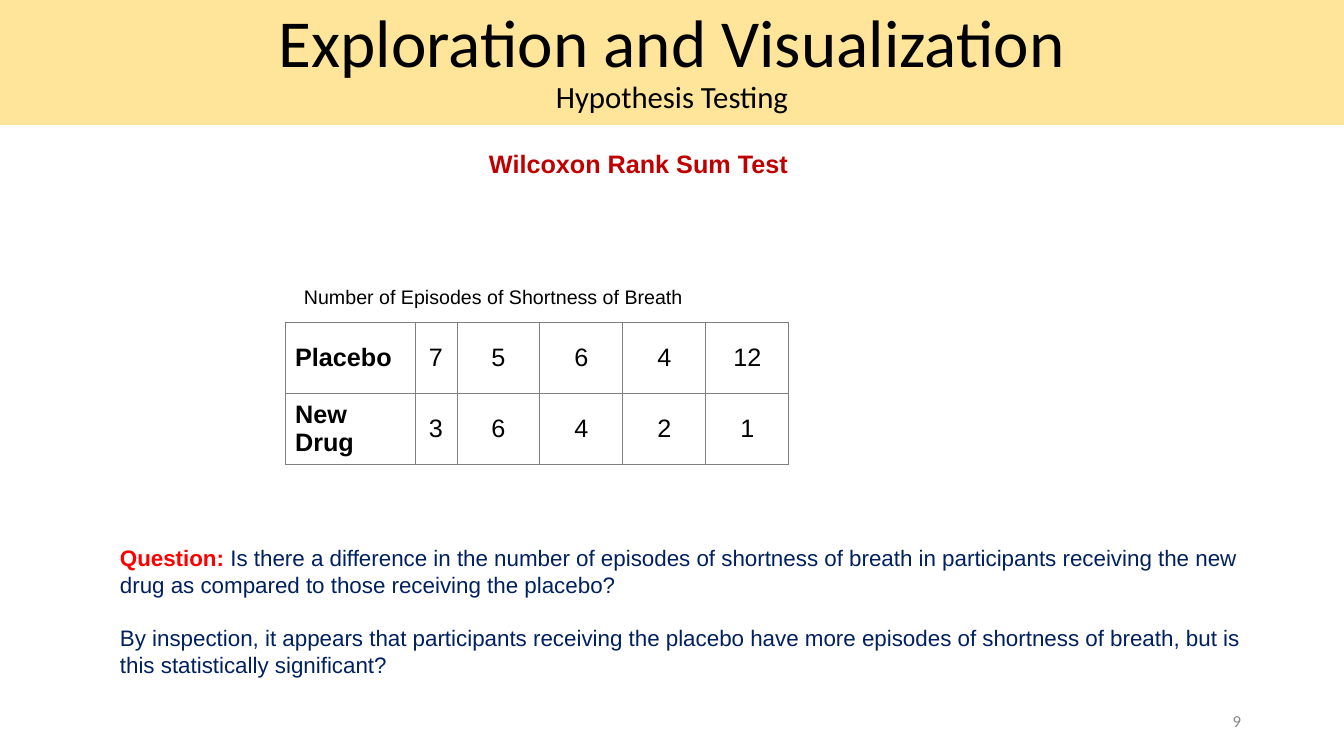
from lxml.etree import SubElement as Sub
from pptx import Presentation
from pptx.dml.color import RGBColor as Rgb
from pptx.enum.text import MSO_ANCHOR as Anchor, MSO_AUTO_SIZE as Fit, PP_ALIGN as Align
from pptx.oxml.ns import qn
from pptx.util import Pt

PX = 914400 / 100.8
COLORS = {
    "band": "FEE599", "black": "000000", "white": "FFFFFF", "crimson": "C00000",
    "red": "FF0000", "navy": "002060", "gray": "888888", "border": "808080",
}
ROWS = [
    ["Placebo", 7, 5, 6, 4, 12],
    ["New Drug", 3, 6, 4, 2, 1],
]
WIDTHS = [130, 42] + [83] * 4
ROW_H = 71


def px(*vals):
    return [round(v * PX) for v in vals]


def color(name):
    return Rgb.from_string(COLORS[name])


def paint(item, name):
    item.fill.solid()
    item.fill.fore_color.rgb = color(name)


def add_run(par, text, size=18, font="Arial", ink="black", bold=False):
    run = par.add_run()
    run.text = text
    run.font.size = Pt(size)
    run.font.name = font
    run.font.bold = bold
    run.font.color.rgb = color(ink)


def write(frame, text, new=False, align=Align.LEFT, line=None, before=0, **font):
    """Write one paragraph, in the first one of the frame or in a new one."""
    par = frame.add_paragraph() if new else frame.paragraphs[0]
    par.alignment = align
    par.space_before = Pt(before)
    if line:
        par.line_spacing = line
    add_run(par, text, **font)
    return par


def add_box(slide, *box, anchor=Anchor.TOP):
    frame = slide.shapes.add_textbox(*px(*box)).text_frame
    frame.word_wrap = True
    frame.vertical_anchor = anchor
    return frame


def add_title(slide):
    title = slide.shapes.title
    title.left, title.top, title.width, title.height = px(0, -1, 1344, 126)
    paint(title, "band")
    frame = title.text_frame
    frame.auto_size = Fit.NONE
    frame.vertical_anchor = Anchor.MIDDLE
    look = dict(align=Align.CENTER, line=0.9, font="Calibri")
    write(frame, "Exploration and Visualization", size=48, **look)
    write(frame, "Hypothesis Testing", new=True, size=22, **look)


def add_edges(cell):
    props = cell._tc.get_or_add_tcPr()
    for side in ("lnL", "lnR", "lnT", "lnB"):
        edge = Sub(props, qn(f"a:{side}"), w=str(Pt(0.75)))
        Sub(Sub(edge, qn("a:solidFill")), qn("a:srgbClr"), val=COLORS["border"])


def add_grid(slide):
    box = px(285, 322, sum(WIDTHS), ROW_H * len(ROWS))
    grid = slide.shapes.add_table(len(ROWS), len(WIDTHS), *box).table
    grid.first_row = grid.horz_banding = False
    for col, width in zip(grid.columns, px(*WIDTHS)):
        col.width = width
    for row, vals in zip(grid.rows, ROWS):
        row.height = px(ROW_H)[0]
        for i, (cell, val) in enumerate(zip(row.cells, vals)):
            add_edges(cell)
            paint(cell, "white")
            cell.vertical_anchor = Anchor.MIDDLE
            write(cell.text_frame, str(val), bold=i == 0,
                  align=Align.CENTER if i else Align.LEFT)


def add_question(slide):
    frame = add_box(slide, 110, 539, 1159, 146)
    par = write(frame, "Question: ", size=16, ink="red", bold=True)
    add_run(par, "Is there a difference in the number of episodes of shortness of "
            "breath in participants receiving the new drug as compared to those "
            "receiving the placebo?", size=16, ink="navy")
    write(frame, "By inspection, it appears that participants receiving the placebo "
          "have more episodes of shortness of breath, but is this statistically "
          "significant?", new=True, before=19, size=16, ink="navy")


def main():
    prs = Presentation()
    prs.slide_width, prs.slide_height = px(1344, 756)
    slide = prs.slides.add_slide(prs.slide_layouts[5])
    add_title(slide)
    write(add_box(slide, 420, 143, 437, 102), "Wilcoxon Rank Sum Test",
          align=Align.CENTER, ink="crimson", bold=True)
    add_grid(slide)
    write(add_box(slide, 294, 280, 518, 34),
          "Number of Episodes of Shortness of Breath", size=14)
    add_question(slide)
    write(add_box(slide, 949, 701, 302, 40, anchor=Anchor.MIDDLE), "9",
          align=Align.RIGHT, size=12, font="Calibri", ink="gray")
    prs.save("out.pptx")


if __name__ == "__main__":
    main()
